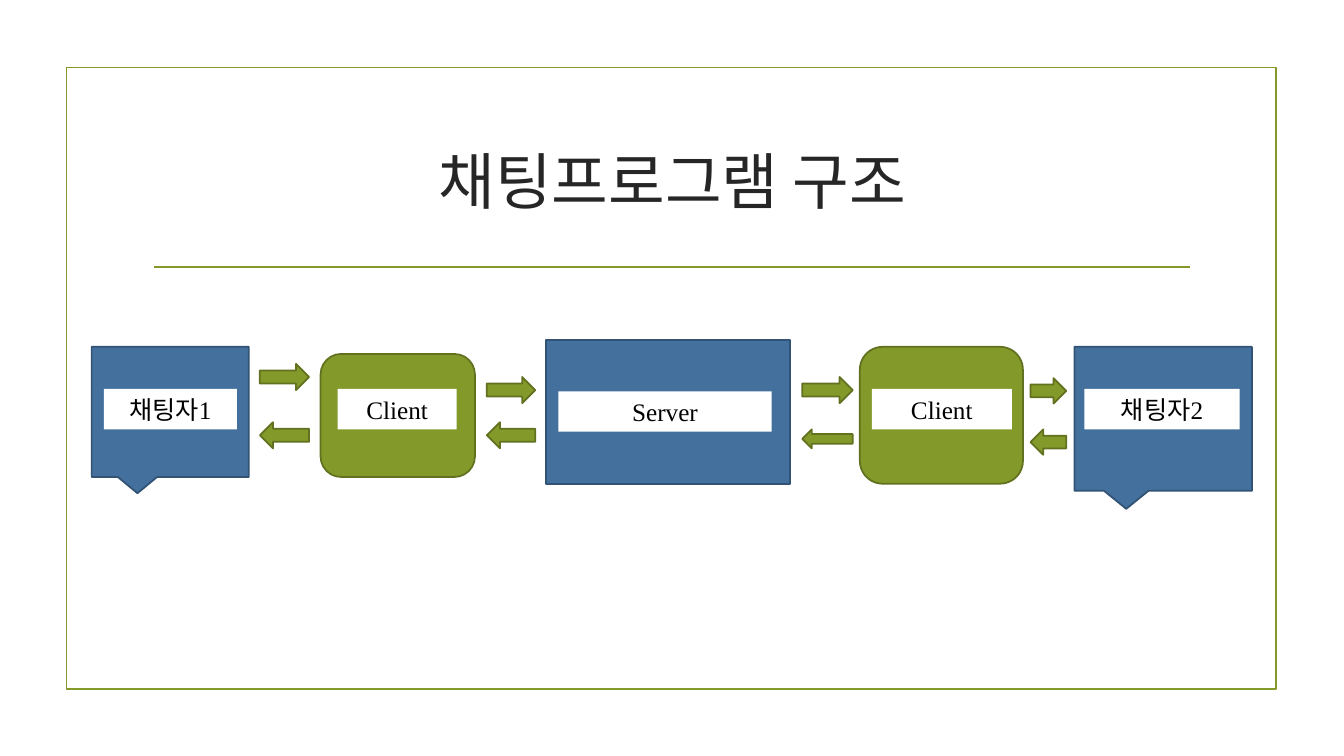
from lxml.etree import SubElement
from pptx import Presentation
from pptx.dml.color import RGBColor
from pptx.enum.shapes import MSO_CONNECTOR, MSO_SHAPE
from pptx.enum.text import MSO_ANCHOR, PP_ALIGN
from pptx.oxml.ns import qn
from pptx.util import Cm, Pt

COLORS = {
    "green": "83992A", "green_edge": "61711F",
    "blue": "44709D", "blue_edge": "325374",
    "white": "FFFFFF", "black": "000000", "title": "262626",
}
FONT = "Times New Roman"
LINE_WIDTH = Pt(1.25)
LABEL_HEIGHT = 1.02

# Outline, colour, box, label text, label offset and width within the box (cm)
NODES = [
    (MSO_SHAPE.RECTANGULAR_CALLOUT, "blue", (2.31, 8.74, 3.96, 3.28), "채팅자1", (0.31, 1.06, 3.35)),
    (MSO_SHAPE.ROUNDED_RECTANGLE, "green", (8.08, 8.92, 3.89, 3.1), "Client", (0.43, 0.88, 3)),
    (MSO_SHAPE.RECTANGLE, "blue", (13.77, 8.56, 6.15, 3.63), "Server", (0.3, 1.3, 5.38)),
    (MSO_SHAPE.ROUNDED_RECTANGLE, "green", (21.67, 8.74, 4.11, 3.45), "Client", (0.3, 1.06, 3.53)),
    (MSO_SHAPE.RECTANGULAR_CALLOUT, "blue", (27.08, 8.74, 4.47, 3.63), "채팅자2", (0.25, 1.06, 3.91)),
]
# Box of each arrow pair, then the heights of its upper and lower arrow (cm)
EXCHANGES = [
    ((6.55, 9.17, 1.24, 2.13), 0.66, 0.66),
    ((12.27, 9.5, 1.22, 1.8), 0.66, 0.66),
    ((20.22, 9.5, 1.27, 1.8), 0.66, 0.48),
    ((25.97, 9.53, 0.9, 1.93), 0.64, 0.64),
]


def color(name):
    return RGBColor.from_string(COLORS[name])


def add_block(page, outline, box, fill=None, edge=None):
    block = page.shapes.add_shape(outline, *map(Cm, box))
    block.shadow.inherit = False
    if fill:
        block.fill.solid()
        block.fill.fore_color.rgb = color(fill)
    else:
        block.fill.background()
    if edge:
        block.line.color.rgb = color(edge)
        block.line.width = LINE_WIDTH
    else:
        block.line.fill.background()
    return block


def write_centered(shape, text, size, ink):
    frame = shape.text_frame
    frame.word_wrap = True
    frame.vertical_anchor = MSO_ANCHOR.MIDDLE
    para = frame.paragraphs[0]
    para.alignment = PP_ALIGN.CENTER
    span = para.add_run()
    span.text = text
    span.font.size = Pt(size)
    span.font.name = FONT
    span.font.color.rgb = color(ink)


def add_heading(page, box, text):
    """Draw the page border in the box, with the title and its rule inside."""
    left, top, width, _ = box
    add_block(page, MSO_SHAPE.RECTANGLE, box, edge="green")
    rule_top = Cm(top + 5.03)
    rule = page.shapes.add_connector(
        MSO_CONNECTOR.STRAIGHT, Cm(left + 2.21), rule_top, Cm(left + width - 2.16), rule_top)
    rule.line.color.rgb = color("green")
    rule.line.width = LINE_WIDTH
    SubElement(rule._element.spPr, qn("a:effectLst"))
    title = page.shapes.add_textbox(Cm(left + 1.93), Cm(top + 1.02), Cm(26.67), Cm(3.63))
    write_centered(title, text, 44, "title")


def add_node(page, outline, fill, box, text, label_place):
    add_block(page, outline, box, fill, f"{fill}_edge")
    offset_x, offset_y, width = label_place
    label_box = (box[0] + offset_x, box[1] + offset_y, width, LABEL_HEIGHT)
    label = add_block(page, MSO_SHAPE.RECTANGLE, label_box, "white")
    write_centered(label, text, 18, "black")


def add_exchange(page, box, upper, lower):
    """Put a right arrow at the top of the box and a left arrow at its bottom."""
    left, top, width, height = box
    arrows = [
        (MSO_SHAPE.RIGHT_ARROW, top, upper),
        (MSO_SHAPE.LEFT_ARROW, top + height - lower, lower),
    ]
    for outline, arrow_top, thickness in arrows:
        add_block(page, outline, (left, arrow_top, width, thickness), "green", "green_edge")


def main():
    deck = Presentation()
    deck.slide_width, deck.slide_height = Cm(33.87), Cm(19.05)
    page = deck.slides.add_slide(deck.slide_layouts[6])
    add_heading(page, (1.68, 1.7, 30.48, 15.67), "채팅프로그램 구조")
    for node in NODES:
        add_node(page, *node)
    for exchange in EXCHANGES:
        add_exchange(page, *exchange)
    deck.save("out.pptx")


if __name__ == "__main__":
    main()
